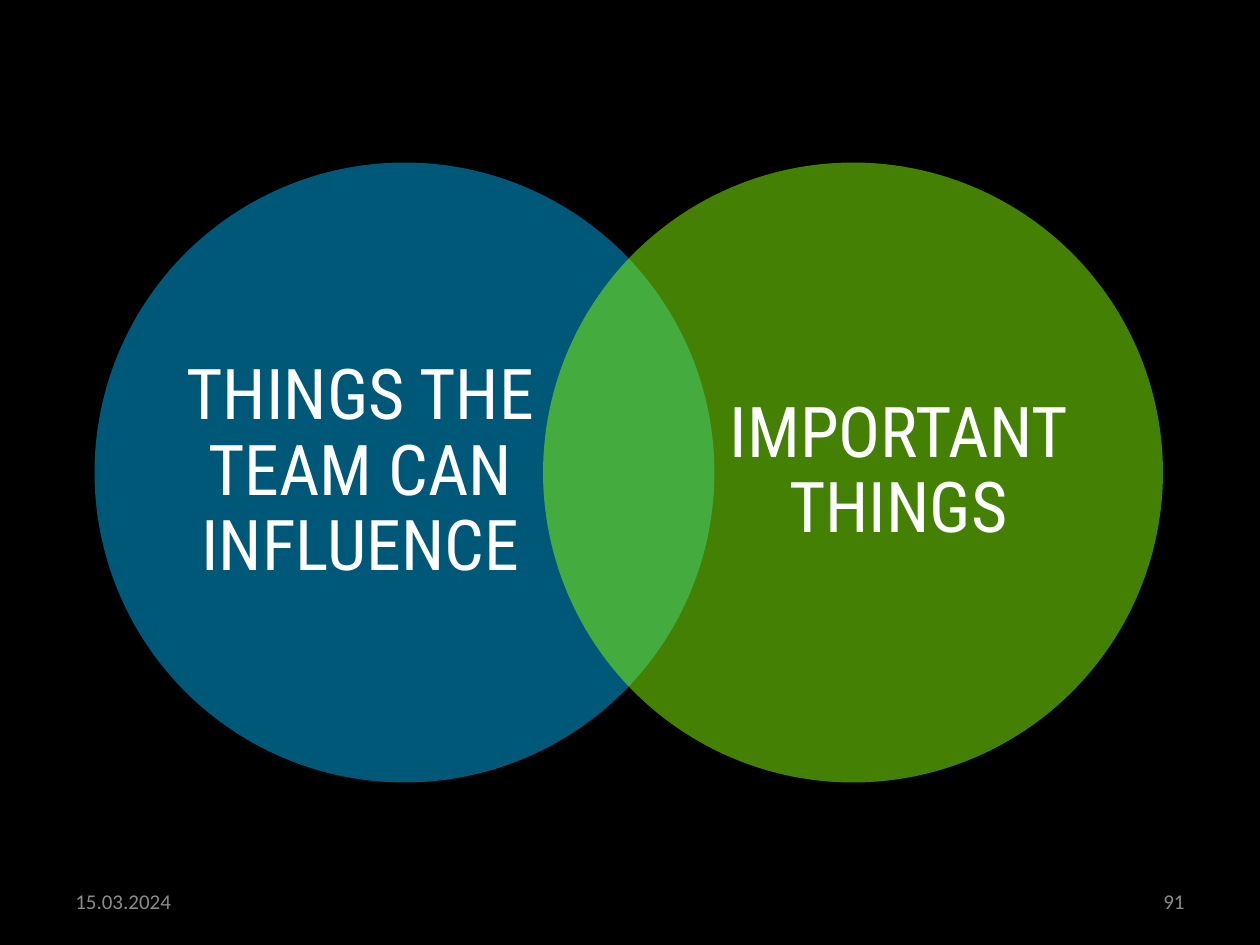
from lxml import etree
from pptx import Presentation
from pptx.dml.color import RGBColor
from pptx.enum.shapes import MSO_SHAPE
from pptx.enum.text import MSO_ANCHOR, PP_ALIGN
from pptx.oxml.ns import qn
from pptx.util import Inches, Pt

OVAL = MSO_SHAPE.OVAL
MIDDLE = MSO_ANCHOR.MIDDLE
LEFT, CENTER, RIGHT = PP_ALIGN.LEFT, PP_ALIGN.CENTER, PP_ALIGN.RIGHT

CIRCLES = [(0.75, "00B0F0"), (4.31, "88FF08")]
LABELS = [(1.44, "THINGS THE TEAM CAN INFLUENCE"), (5.71, "IMPORTANT THINGS")]
FOOTERS = [(0.5, "15.03.2024", LEFT), (7.17, "91", RIGHT)]
TOP, SIZE = 1.29, 4.92
LABEL_W, LABEL_H = 2.84, 3.76
LABEL_FONT = {"name": "Roboto Condensed", "size": Pt(40)}
FOOT_FONT = {"name": "Calibri", "size": Pt(12)}


def color(target, code):
    """Set a fill or font colour from a hex string."""
    target.rgb = RGBColor.from_string(code)


def add_circle(slide, left, code):
    """Draw one half-transparent circle."""
    oval = slide.shapes.add_shape(
        OVAL, Inches(left), Inches(TOP), Inches(SIZE), Inches(SIZE))
    oval.shadow.inherit = False
    oval.fill.solid()
    color(oval.fill.fore_color, code)
    oval.line.fill.background()
    tint = next(oval.element.spPr.iter(qn("a:srgbClr")))
    etree.SubElement(tint, qn("a:alpha"), val="50000")


def add_text(slide, box, text, align, font, code):
    """Add a wrapped, vertically centred text box and return its frame."""
    frame = slide.shapes.add_textbox(*map(Inches, box)).text_frame
    frame.word_wrap = True
    frame.vertical_anchor = MIDDLE
    par = frame.paragraphs[0]
    par.alignment = align
    run = par.add_run()
    run.text = text
    for key, value in font.items():
        setattr(run.font, key, value)
    color(run.font.color, code)
    return frame


def main():
    """Build the slide and save it."""
    deck = Presentation()
    deck.slide_width, deck.slide_height = Inches(10), Inches(7.5)
    slide = deck.slides.add_slide(deck.slide_layouts[6])
    slide.background.fill.solid()
    color(slide.background.fill.fore_color, "000000")

    for left, text, align in FOOTERS:
        add_text(slide, (left, 6.95, 2.33, 0.4), text, align, FOOT_FONT, "8C8C8C")

    label_top = TOP + (SIZE - LABEL_H) / 2
    for (left, code), (text_left, text) in zip(CIRCLES, LABELS):
        add_circle(slide, left, code)
        box = (text_left, label_top, LABEL_W, LABEL_H)
        frame = add_text(slide, box, text, CENTER, LABEL_FONT, "FFFFFF")
        for side in ("left", "top", "right", "bottom"):
            setattr(frame, f"margin_{side}", 0)
        frame.paragraphs[0].line_spacing = 0.9

    deck.save("out.pptx")


if __name__ == "__main__":
    main()
